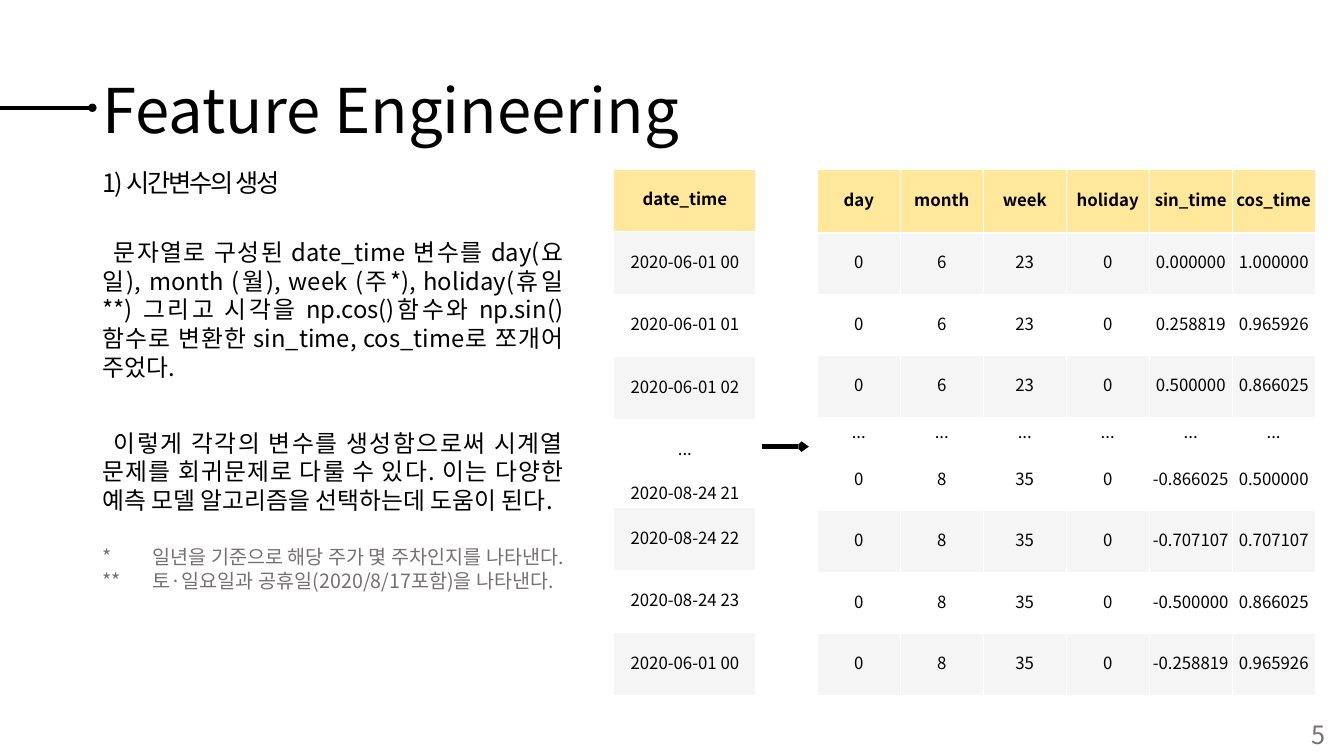
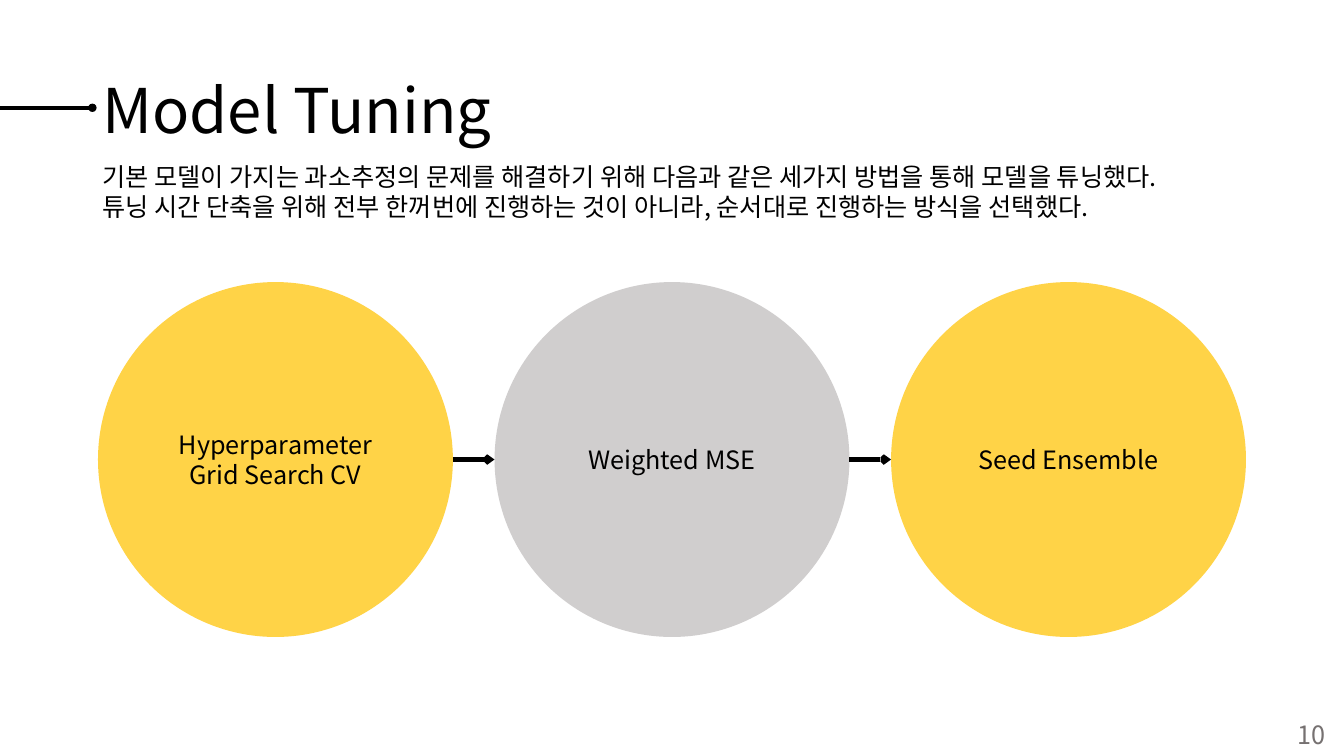
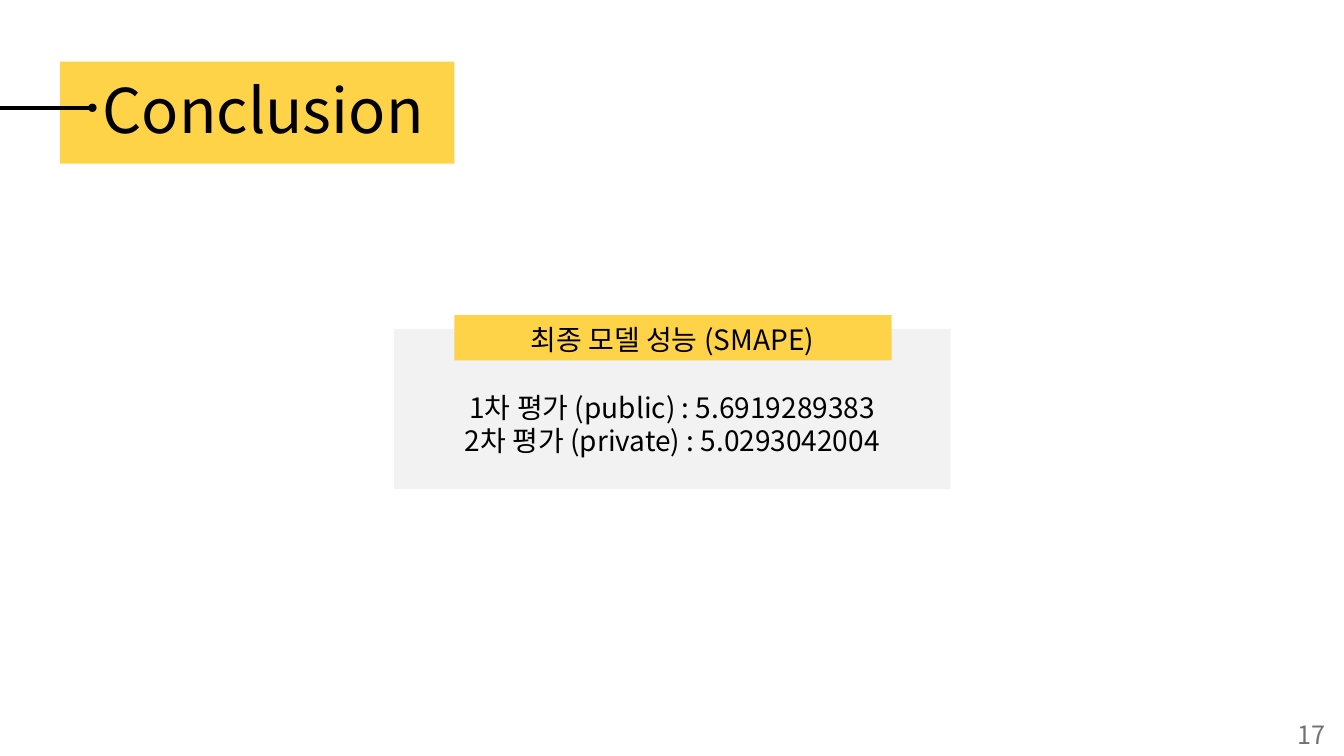
from typing import NamedTuple

from lxml.etree import SubElement
from pptx import Presentation
from pptx.dml.color import RGBColor
from pptx.enum.shapes import MSO_CONNECTOR as Connector, MSO_SHAPE as Preset
from pptx.enum.text import MSO_ANCHOR as Anchor, MSO_AUTO_SIZE as AutoSize, PP_ALIGN as Align
from pptx.oxml.ns import qn
from pptx.util import Pt

FONT = "Noto Sans CJK KR"
COLORS = {
    "ink": "000000",
    "note": "767171",
    "yellow": "FFD347",
    "header": "FFE79B",
    "gray": "D0CECE",
    "panel": "F2F2F2",
    "band": "F5F5F5",
    "white": "FFFFFF",
}
LINE_FACTOR = 1.2


class Box(NamedTuple):
    left: float
    top: float
    width: float
    height: float

    def points(self):
        return [Pt(length) for length in self]


SLIDE = Box(0, 0, 960, 540)
TITLE = Box(66, 29, 828, 104)
TITLE_LINE_Y = 77
PAGE_NUMBER = Box(913, 510.5, 40.5, 29.5)

DATE_ROWS = [
    ["date_time"],
    ["2020-06-01 00"],
    ["2020-06-01 01"],
    ["2020-06-01 02"],
    ["..."],
    ["2020-08-24 21"],
    ["2020-08-24 22"],
    ["2020-08-24 23"],
    ["2020-06-01 00"],
]
FEATURE_ROWS = [
    ["day", "month", "week", "holiday", "sin_time", "cos_time"],
    ["0", "6", "23", "0", "0.000000", "1.000000"],
    ["0", "6", "23", "0", "0.258819", "0.965926"],
    ["0", "6", "23", "0", "0.500000", "0.866025"],
    ["..."] * 6,
    ["0", "8", "35", "0", "-0.866025", "0.500000"],
    ["0", "8", "35", "0", "-0.707107", "0.707107"],
    ["0", "8", "35", "0", "-0.500000", "0.866025"],
    ["0", "8", "35", "0", "-0.258819", "0.965926"],
]
BANDED_ROWS = {1, 3, 6, 8}


def apply(target, values):
    for attribute, value in values.items():
        setattr(target, attribute, value)


def rgb(color):
    return RGBColor.from_string(COLORS[color])


def write(frame, lines, size, color="ink", bold=False, indent=0, tab=None,
          tracking=None, **paragraph_format):
    """Fill a text frame with one unbulleted paragraph per line."""
    frame.word_wrap = True
    for number, line in enumerate(lines):
        paragraph = frame.add_paragraph() if number else frame.paragraphs[0]
        properties = paragraph._p.get_or_add_pPr()
        properties.set("marL", "0")
        properties.set("indent", str(Pt(indent)))
        SubElement(properties, qn("a:buNone"))
        if tab:
            stops = SubElement(properties, qn("a:tabLst"))
            SubElement(stops, qn("a:tab"), pos=str(Pt(tab)), algn="l")
        values = {"alignment": Align.LEFT, "line_spacing": Pt(size * LINE_FACTOR),
                  "space_before": Pt(0), "space_after": Pt(0)}
        apply(paragraph, values | paragraph_format)
        if number == len(lines) - 1:
            paragraph.space_after = Pt(0)
        run = paragraph.add_run()
        run.text = line
        apply(run.font, {"name": FONT, "size": Pt(size), "bold": bold})
        run.font.color.rgb = rgb(color)
        run_properties = run._r.get_or_add_rPr()
        SubElement(run_properties, qn("a:ea"), typeface=FONT)
        if tracking:
            run_properties.set("spc", str(int(tracking * 100)))


def place(placeholder, box):
    names = ("left", "top", "width", "height")
    apply(placeholder, dict(zip(names, box.points())))
    placeholder.text_frame.auto_size = AutoSize.NONE


def add_body(slide, box, lines, size, **text_format):
    body = slide.placeholders[1]
    place(body, box)
    write(body.text_frame, lines, size, **text_format)


def add_label(slide, box, lines, size, **text_format):
    label = slide.shapes.add_textbox(*box.points())
    write(label.text_frame, lines, size, **text_format)


def add_filled(slide, preset, box, color):
    shape = slide.shapes.add_shape(preset, *box.points())
    shape.shadow.inherit = False
    shape.fill.solid()
    shape.fill.fore_color.rgb = rgb(color)
    shape.line.fill.background()
    return shape


def add_backdrop(slide, box, color):
    """Add a rectangle behind everything already on the slide."""
    backdrop = add_filled(slide, Preset.RECTANGLE, box, color)
    slide.shapes._spTree.insert(2, backdrop._element)


def add_rule(slide, left, right, y, end):
    """Draw a level line with a small end mark on its right."""
    rule = slide.shapes.add_connector(Connector.STRAIGHT, Pt(left), Pt(y), Pt(right), Pt(y))
    rule.line.width = Pt(3)
    rule.line.color.rgb = rgb("ink")
    SubElement(rule.line._get_or_add_ln(), qn("a:tailEnd"), type=end, w="sm", len="sm")
    SubElement(rule._element.spPr, qn("a:effectLst"))


def add_page(deck, title, number):
    """Start a slide with the shared title, title line and page number."""
    slide = deck.slides.add_slide(deck.slide_layouts[1])
    place(slide.shapes.title, TITLE)
    write(slide.shapes.title.text_frame, [title], 44, line_spacing=0.9)
    add_rule(slide, 0, TITLE.left, TITLE_LINE_Y, "oval")
    add_label(slide, PAGE_NUMBER, [number], 18, color="note", alignment=Align.RIGHT)
    return slide


def format_cell(cell, text, color, bold):
    apply(cell, {"margin_left": Pt(2), "margin_right": Pt(2), "margin_top": Pt(1),
                 "margin_bottom": Pt(1), "vertical_anchor": Anchor.MIDDLE})
    write(cell.text_frame, [text], 12, bold=bold, alignment=Align.CENTER)
    properties = cell._tc.get_or_add_tcPr()
    for side in ("lnL", "lnR", "lnT", "lnB"):
        border = SubElement(properties, qn(f"a:{side}"), w=str(Pt(1)))
        fill = SubElement(border, qn("a:solidFill"))
        SubElement(fill, qn("a:srgbClr"), val=COLORS["white"])
    cell.fill.solid()
    cell.fill.fore_color.rgb = rgb(color)


def add_data_table(slide, box, rows, header_height, short_row, short_height):
    """Draw equal columns and rows, apart from the header and one short row."""
    columns = len(rows[0])
    table = slide.shapes.add_table(len(rows), columns, *box.points()).table
    apply(table, {"first_row": False, "horz_banding": False})
    for column in table.columns:
        column.width = Pt(box.width / columns)
    row_height = (box.height - header_height - short_height) / (len(rows) - 2)
    heights = {0: header_height, short_row: short_height}
    for number, values in enumerate(rows):
        table.rows[number].height = Pt(heights.get(number, row_height))
        color = "header" if number == 0 else "band" if number in BANDED_ROWS else "white"
        for column, text in enumerate(values):
            format_cell(table.cell(number, column), text, color, bold=number == 0)


def add_explanation(slide, box):
    add_label(slide, Box(box.left, box.top, 169, 41), ["1) 시간변수의 생성"], 18, tracking=-1.5)
    add_body(slide, Box(box.left, box.top + 50.5, box.width, 207), [
        "문자열로 구성된 date_time 변수를 day(요일), month (월), week (주*), "
        "holiday(휴일**) 그리고 시각을 np.cos()함수와 np.sin()함수로 변환한 "
        "sin_time, cos_time로 쪼개어 주었다.",
        "이렇게 각각의 변수를 생성함으로써 시계열 문제를 회귀문제로 다룰 수 있다. "
        "이는 다양한 예측 모델 알고리즘을 선택하는데 도움이 된다.",
    ], 17, indent=8, alignment=Align.JUSTIFY, space_after=Pt(34))
    add_label(slide, Box(box.left, box.top + 270, box.width, 58), [
        "*\t일년을 기준으로 해당 주가 몇 주차인지를 나타낸다.",
        "**\t토·일요일과 공휴일(2020/8/17포함)을 나타낸다.",
    ], 14, color="note", tab=31)


def add_table_conversion(slide, box):
    """Place the source column, an arrow and the derived columns."""
    date_width, feature_width, inset = 101.5, 355.7, 4
    features_left = box.left + box.width - feature_width
    add_data_table(slide, Box(features_left, box.top, feature_width, box.height),
                   FEATURE_ROWS, 45.4, 4, 23)
    add_data_table(slide, Box(box.left, box.top, date_width, box.height),
                   DATE_ROWS, 44.6, 5, 18.7)
    add_rule(slide, box.left + date_width + inset, features_left - 6,
             box.top + 198, "arrow")


def add_circle_chain(slide, box, steps):
    """Spread circles as high as the box over its width, joined by arrows."""
    diameter = box.height
    pitch = (box.width - diameter) / (len(steps) - 1)
    for number, (color, lines) in enumerate(steps):
        left = box.left + number * pitch
        circle = add_filled(slide, Preset.OVAL, Box(left, box.top, diameter, diameter), color)
        circle.text_frame.vertical_anchor = Anchor.MIDDLE
        write(circle.text_frame, lines, 18, alignment=Align.CENTER)
        if number:
            add_rule(slide, left - pitch + diameter, left, box.top + diameter / 2, "arrow")


def add_score_panel(slide, box):
    add_body(slide, Box(box.left + 28, box.top - 8, box.width - 56, 105), [
        "최종 모델 성능 (SMAPE)",
        "1차 평가 (public) : 5.6919289383",
        "2차 평가 (private) : 5.0293042004",
    ], 20, alignment=Align.CENTER)
    slide.placeholders[1].text_frame.paragraphs[0].space_after = Pt(24)
    add_backdrop(slide, Box(box.left + 43, box.top - 10, box.width - 85, 32.5), "yellow")
    add_backdrop(slide, box, "panel")


def add_feature_slide(deck):
    slide = add_page(deck, "Feature Engineering", "5")
    add_explanation(slide, Box(66, 116, 343.5, 328))
    add_table_conversion(slide, Box(438.5, 121, 501, 375.7))


def add_tuning_slide(deck):
    slide = add_page(deck, "Model Tuning", "10")
    add_body(slide, Box(66, 111.5, 780, 73), [
        "기본 모델이 가지는 과소추정의 문제를 해결하기 위해 다음과 같은 세가지 방법을 통해 모델을 튜닝했다.",
        "튜닝 시간 단축을 위해 전부 한꺼번에 진행하는 것이 아니라, 순서대로 진행하는 방식을 선택했다.",
    ], 18)
    add_circle_chain(slide, Box(70, 201.5, 820, 253.5), [
        ("yellow", ["Hyperparameter", "Grid Search CV"]),
        ("gray", ["Weighted MSE"]),
        ("yellow", ["Seed Ensemble"]),
    ])


def add_conclusion_slide(deck):
    slide = add_page(deck, "Conclusion", "17")
    add_backdrop(slide, Box(43, 44, 281.5, 73), "yellow")
    add_score_panel(slide, Box(281.5, 235, 397.5, 114.5))


def main():
    deck = Presentation()
    apply(deck, {"slide_width": Pt(SLIDE.width), "slide_height": Pt(SLIDE.height)})
    add_feature_slide(deck)
    add_tuning_slide(deck)
    add_conclusion_slide(deck)
    deck.save("out.pptx")


if __name__ == "__main__":
    main()
